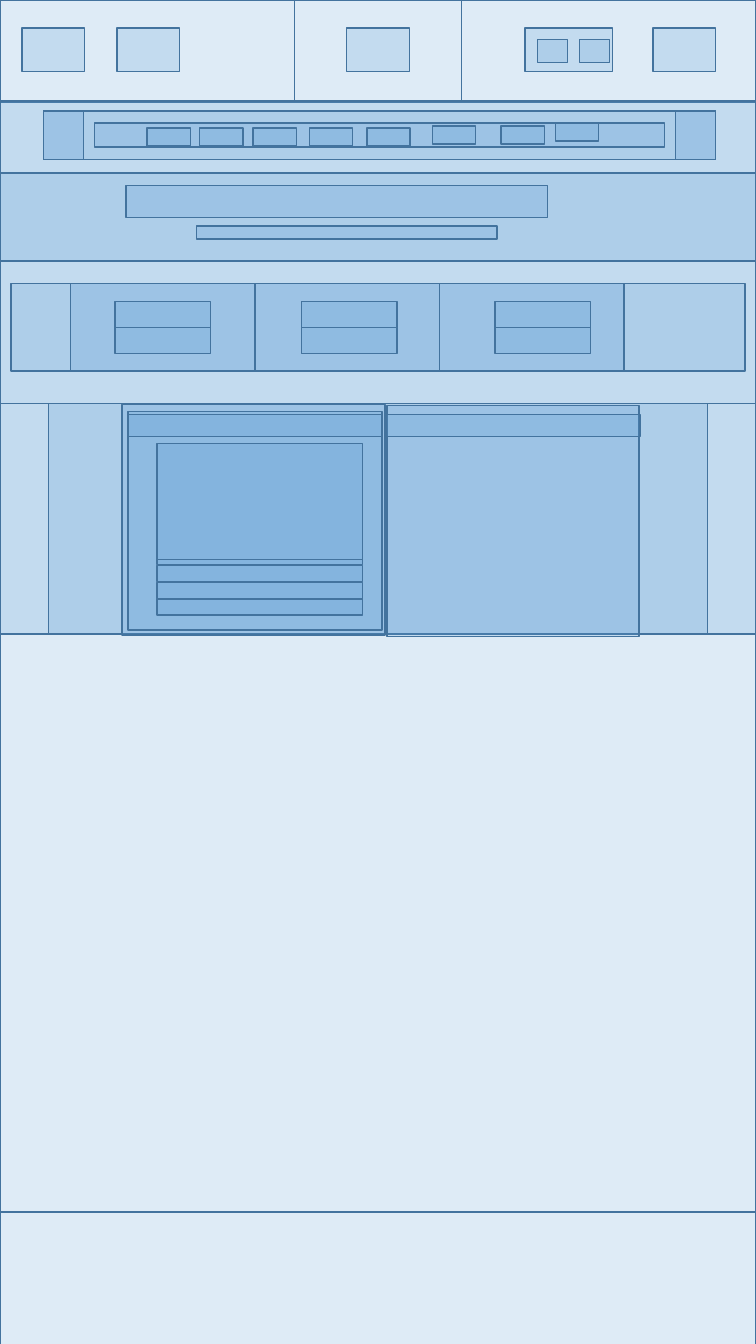
from typing import NamedTuple

from lxml.etree import SubElement
from pptx import Presentation
from pptx.dml.color import RGBColor
from pptx.enum.shapes import MSO_SHAPE as Preset
from pptx.oxml.ns import qn
from pptx.util import Inches, Pt

PAGE_W, PAGE_H = 7.5, 13.33
FILL, OUTLINE, OPACITY = "5B9BD5", "43739E", 20


class Block(NamedTuple):
    left: float
    top: float
    width: float
    height: float


def color(code: str) -> RGBColor:
    return RGBColor.from_string(code)


def row(lefts: list[float], top: float, width: float, height: float) -> list[Block]:
    """Equal blocks side by side."""
    return [Block(left, top, width, height) for left in lefts]


def stack(left: float, tops: list[float], width: float, height: float) -> list[Block]:
    """Equal blocks one below the other."""
    return [Block(left, top, width, height) for top in tops]


def draw(shapes, block: Block) -> None:
    rect = shapes.add_shape(Preset.RECTANGLE, *(Inches(side) for side in block))
    rect.shadow.inherit = False
    rect.fill.solid()
    rect.fill.fore_color.rgb = color(FILL)
    tint = rect.fill._xPr.find(qn("a:solidFill"))[0]
    SubElement(tint, qn("a:alpha")).set("val", str(OPACITY * 1000))
    rect.line.color.rgb = color(OUTLINE)
    rect.line.width = Pt(1)


# Page frame: body, three header cells, footer
frame = [
    Block(0, 1.01, PAGE_W, 11.01),
    Block(2.92, 0, 1.66, 1),
    Block(4.58, 0, 2.92, 1),
    Block(0, 12.02, PAGE_W, 1.32),
    Block(0, 0, 2.92, 1),
]

# Header buttons, with a pair of icons in the wider one
header = [
    *row([0.22, 1.16, 3.44, 6.48], 0.28, 0.62, 0.43),
    Block(5.21, 0.28, 0.87, 0.43),
    *row([5.33, 5.75], 0.39, 0.3, 0.23),
]

# Navigation bar: end arrows, track and its items
navigation = [
    Block(0, 1, PAGE_W, 0.71),
    Block(0.43, 1.1, 6.67, 0.48),
    *row([0.43, 6.7], 1.1, 0.4, 0.48),
    Block(0.94, 1.22, 5.65, 0.24),
    *row([1.46, 1.98, 2.51, 3.07, 3.64], 1.27, 0.43, 0.18),
    *row([4.29, 4.97], 1.25, 0.43, 0.18),
    Block(5.51, 1.22, 0.43, 0.18),
]

# Banner: title and subtitle
banner = [
    Block(0, 1.71, PAGE_W, 2.29),
    Block(0, 1.72, PAGE_W, 0.87),
    Block(1.25, 1.84, 4.18, 0.32),
    Block(1.95, 2.24, 2.98, 0.13),
]

# Three cards, each with two lines
CARD_W = 1.83
cards = [
    Block(0.11, 2.81, 7.28, 0.87),
    *row([0.7 + i * CARD_W for i in range(3)], 2.81, CARD_W, 0.87),
]
for line_left in (1.14, 2.99, 4.91):
    cards += stack(line_left, [2.99, 3.25], 0.95, 0.26)

# Content: two panels, each with a heading, and the media column
content = [
    Block(0, 4, PAGE_W, 2.29),
    Block(0.48, 4, 6.54, 2.29),
    Block(1.21, 4.01, 2.61, 2.29),
    Block(3.84, 4.02, 2.5, 2.29),
    Block(1.27, 4.08, 2.52, 2.17),
    *row([1.27, 3.83], 4.11, 2.52, 0.22),
    Block(1.56, 4.4, 2.04, 1.15),
    Block(1.56, 5.55, 2.04, 0.05),
    *stack(1.56, [5.61, 5.78, 5.94], 2.04, 0.16),
]

deck = Presentation()
deck.slide_width, deck.slide_height = Inches(PAGE_W), Inches(PAGE_H)
wireframe = deck.slides.add_slide(deck.slide_layouts[6])
for section in (frame, header, navigation, banner, cards, content):
    for block in section:
        draw(wireframe.shapes, block)

deck.save("out.pptx")
